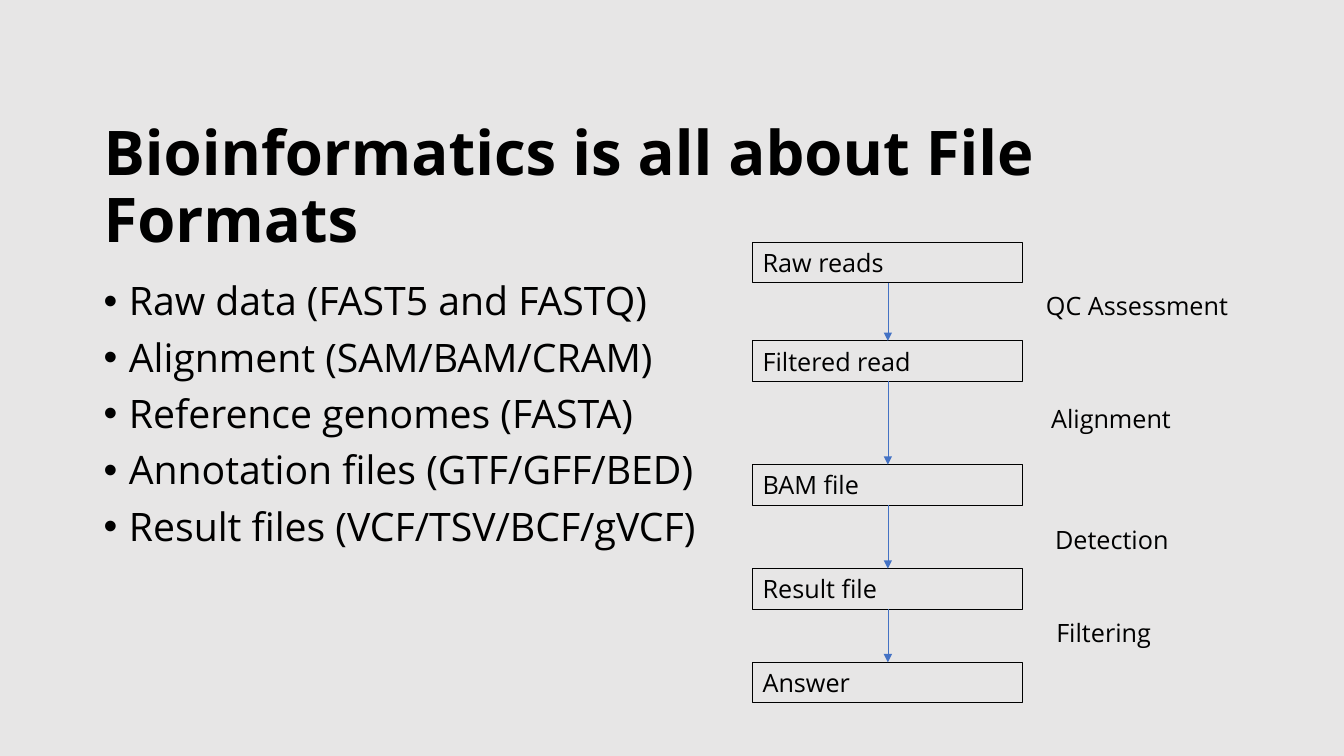
from lxml import etree
from pptx import Presentation
from pptx.dml.color import RGBColor
from pptx.enum.shapes import MSO_CONNECTOR as Link, MSO_SHAPE as Form
from pptx.enum.text import MSO_ANCHOR as Anchor, MSO_AUTO_SIZE as Fit, PP_ALIGN as Align
from pptx.oxml.ns import qn
from pptx.util import Cm, Pt

FONT = "Open Sans"
HUES = {"back": "E7E6E6", "ink": "000000", "arrow": "4472C4"}

TITLE = "Bioinformatics is all about File Formats"
FILES = [
    "Raw data (FAST5 and FASTQ)",
    "Alignment (SAM/BAM/CRAM)",
    "Reference genomes (FASTA)",
    "Annotation files (GTF/GFF/BED)",
    "Result files (VCF/TSV/BCF/gVCF)",
]
# Flow offsets are in cm from the corner of the flow region
STAGES = [
    ("Raw reads", 0),
    ("Filtered read", 2.49),
    ("BAM file", 5.61),
    ("Result file", 8.23),
    ("Answer", 10.59),
]
STEPS = [
    ("QC Assessment", 7.14, 1.09),
    ("Alignment", 7.27, 3.93),
    ("Detection", 7.37, 6.98),
    ("Filtering", 7.4, 9.32),
]
WIDE, HIGH = 6.81, 1.02


def hue(name):
    return RGBColor.from_string(HUES[name])


def add_run(para, text, size, bold=False):
    run = para.add_run()
    run.text = text
    font = run.font
    font.name, font.size, font.bold = FONT, Pt(size), bold
    font.color.rgb = hue("ink")


def add_text(slide, x, y, w, h):
    box = slide.shapes.add_textbox(Cm(x), Cm(y), Cm(w), Cm(h))
    box.text_frame.word_wrap = True
    return box.text_frame


def add_bullet(para):
    props = para._p.get_or_add_pPr()
    props.set("marL", str(Cm(0.64)))
    props.set("indent", str(-Cm(0.64)))
    etree.SubElement(props, qn("a:buFont")).set("typeface", "Arial")
    etree.SubElement(props, qn("a:buChar")).set("char", "•")


def add_title(slide, x, y, w, h):
    frame = add_text(slide, x, y, w, h)
    frame.vertical_anchor = Anchor.MIDDLE
    para = frame.paragraphs[0]
    para.line_spacing = 0.9
    add_run(para, TITLE, 44, True)


def add_list(slide, x, y, w, h):
    frame = add_text(slide, x, y, w, h)
    for i, text in enumerate(FILES):
        para = frame.add_paragraph() if i else frame.paragraphs[0]
        add_bullet(para)
        para.line_spacing = 0.9
        para.space_before = Pt(10 if i else 0)
        add_run(para, text, 28)


def add_stage(slide, text, x, y):
    box = slide.shapes.add_shape(Form.RECTANGLE, Cm(x), Cm(y), Cm(WIDE), Cm(HIGH))
    box.shadow.inherit = False
    box.fill.background()
    box.line.color.rgb = hue("ink")
    box.line.width = Pt(0.75)
    frame = box.text_frame
    frame.word_wrap = True
    frame.auto_size = Fit.SHAPE_TO_FIT_TEXT
    frame.vertical_anchor = Anchor.TOP
    para = frame.paragraphs[0]
    para.alignment = Align.LEFT
    add_run(para, text, 18)


def add_arrow(slide, x, top, end):
    line = slide.shapes.add_connector(Link.STRAIGHT, Cm(x), Cm(top), Cm(x), Cm(end))
    line.line.color.rgb = hue("arrow")
    line.line.width = Pt(0.5)
    tail = etree.SubElement(line.line._get_or_add_ln(), qn("a:tailEnd"))
    tail.set("type", "triangle")
    etree.SubElement(line._element.spPr, qn("a:effectLst"))


def add_flow(slide, x, y):
    # Stage boxes
    for text, drop in STAGES:
        add_stage(slide, text, x, y + drop)
    # Step labels
    for text, shift, drop in STEPS:
        frame = add_text(slide, x + shift, y + drop, WIDE, HIGH)
        frame.auto_size = Fit.SHAPE_TO_FIT_TEXT
        add_run(frame.paragraphs[0], text, 18)
    # Arrows from each box to the next
    for (_, drop), (_, after) in zip(STAGES, STAGES[1:]):
        add_arrow(slide, x + WIDE / 2, y + drop + HIGH, y + after)


def main():
    deck = Presentation()
    deck.slide_width, deck.slide_height = Cm(33.87), Cm(19.05)
    slide = deck.slides.add_slide(deck.slide_layouts[6])
    fill = slide.background.fill
    fill.solid()
    fill.fore_color.rgb = hue("back")
    add_title(slide, 2.36, 2.92, 29.21, 3.68)
    add_list(slide, 2.36, 6.98, 16.26, 12.07)
    add_flow(slide, 18.97, 6.1)
    deck.save("out.pptx")


if __name__ == "__main__":
    main()
